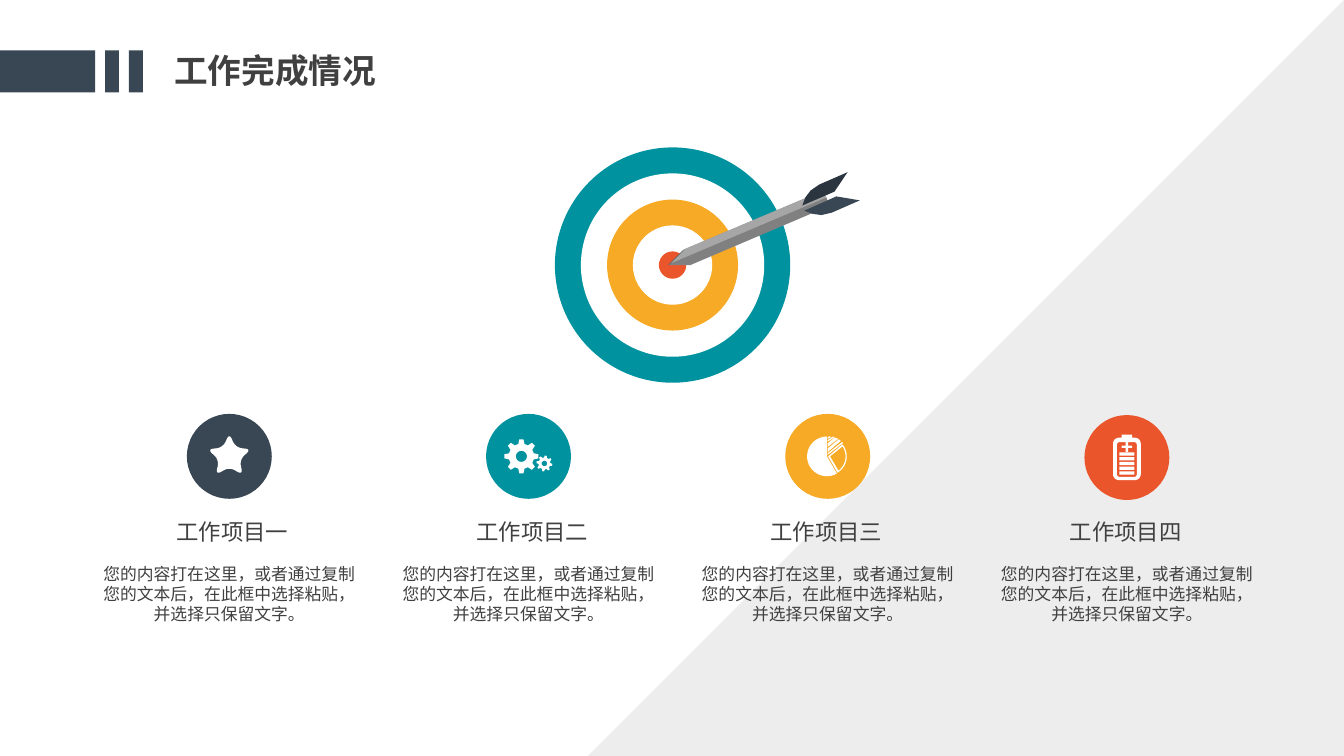
from math import cos, radians, sin

from lxml import etree
from pptx import Presentation
from pptx.dml.color import RGBColor
from pptx.enum.shapes import MSO_SHAPE
from pptx.enum.text import MSO_ANCHOR, MSO_AUTO_SIZE, PP_ALIGN
from pptx.oxml.ns import qn
from pptx.util import Cm, Pt

RECTANGLE, OVAL, TRIANGLE = MSO_SHAPE.RECTANGLE, MSO_SHAPE.OVAL, MSO_SHAPE.RIGHT_TRIANGLE
LEFT, CENTER = PP_ALIGN.LEFT, PP_ALIGN.CENTER
TOP, MIDDLE = MSO_ANCHOR.TOP, MSO_ANCHOR.MIDDLE
NO_FIT = MSO_AUTO_SIZE.NONE

NAVY = RGBColor(0x39, 0x47, 0x54)
TEAL = RGBColor(0x00, 0x93, 0x9F)
AMBER = RGBColor(0xF6, 0xAA, 0x26)
ORANGE = RGBColor(0xEA, 0x55, 0x2B)
WHITE = RGBColor(0xFF, 0xFF, 0xFF)
INK = RGBColor(0x40, 0x40, 0x40)
PALE = RGBColor(0xE7, 0xE6, 0xE6)
SLATE = RGBColor(0x51, 0x5D, 0x5D)
STEEL = RGBColor(0x82, 0x82, 0x86)
SILVER = RGBColor(0xA6, 0xA6, 0xA6)
GRAY = RGBColor(0x80, 0x80, 0x80)
MIDNIGHT = RGBColor(0x2B, 0x35, 0x3F)
CJK_FONT = "Noto Sans CJK SC"

TITLE = "工作完成情况"
BODY = "您的内容打在这里，或者通过复制您的文本后，在此框中选择粘贴，并选择只保留文字。"
ITEMS = [
    ("工作项目一", NAVY, 11.5, 0.08),
    ("工作项目二", TEAL, 11.5, 0.1),
    ("工作项目三", AMBER, 11.5, -0.03),
    ("工作项目四", ORANGE, 11.53, -0.03),
]
FIRST_CENTER, PITCH, BADGE = 5.78, 7.54, 2.14

HEADER_BARS = [(0, 2.4), (2.65, 0.35), (3.25, 0.35)]
TARGET_X, TARGET_Y = 16.95, 6.68
RINGS = [(5.93, TEAL), (4.62, WHITE), (3.3, AMBER), (2, WHITE), (0.69, ORANGE)]
ARROW = [
    (SLATE, [(17.22, 6.3), (20.7, 4.83), (20.78, 5), (16.84, 6.68)]),
    (STEEL, [(17.4, 6.68), (20.85, 5.21), (20.78, 5), (16.84, 6.68)]),
    (SILVER, [(17.27, 6.27), (20.75, 4.8), (20.83, 4.98), (16.89, 6.65)]),
    (GRAY, [(17.42, 6.65), (20.9, 5.18), (20.83, 4.98), (16.89, 6.65)]),
    (MIDNIGHT, [(20.22, 5.18), (20.3, 4.97), (20.43, 4.8), (20.65, 4.65),
                (21.36, 4.34), (21.03, 4.83)]),
    (NAVY, [(20.27, 5.31), (20.48, 5.39), (20.7, 5.42), (20.96, 5.36),
            (21.67, 5.05), (21.08, 4.95)]),
]
PIE_STRIPES = [
    (-0.08, 0.36, -0.36), (-0.15, 0.3, -0.41), (-0.2, 0.28, -0.43),
    (-0.28, 0.23, -0.46), (-0.33, 0.18, -0.48), (-0.41, 0.13, -0.5),
    (-0.48, 0.05, -0.51),
]


def polar(radius, angle, x=0, y=0):
    return x + radius * cos(radians(angle)), y + radius * sin(radians(angle))


def arc(radius, start, end, x=0, y=0, steps=24):
    return [polar(radius, start + (end - start) * i / steps, x, y) for i in range(steps + 1)]


def box_outline(left, top, right, bottom):
    return [(left, top), (right, top), (right, bottom), (left, bottom)]


def rounded_outline(left, top, right, bottom, radius):
    corners = box_outline(left + radius, top + radius, right - radius, bottom - radius)
    return [point for i, (x, y) in enumerate(corners)
            for point in arc(radius, 180 + 90 * i, 270 + 90 * i, x, y, 6)]


def soften(points):
    following = points[1:] + points[:1]
    return [(a[0] + (b[0] - a[0]) * t, a[1] + (b[1] - a[1]) * t)
            for a, b in zip(points, following) for t in (0.25, 0.75)]


def star_icon():
    points = [polar(0.26 if i % 2 else 0.6, 36 * i - 90) for i in range(10)]
    for _ in range(3):
        points = soften(points)
    return [points]


def gear(x, y, tip, base, hole, turn):
    profile = [(tip, -7), (tip, 7), (base, 14), (base, 31)]
    teeth = [polar(radius, 45 * i + angle + turn, x, y)
             for i in range(8) for radius, angle in profile]
    return [teeth, arc(hole, 0, 360, x, y)]


def gears_icon():
    return gear(-0.18, 0, 0.43, 0.32, 0.14, 0) + gear(0.4, 0.18, 0.2, 0.15, 0.07, 10)


def pie_icon():
    slices = [
        [(-0.02, 0)] + arc(0.5, 60, 270, -0.02),
        [(0.01, 0)] + arc(0.48, -39, 59),
        [(0.06, 0)] + arc(0.45, -34, 53),
    ]
    stripes = [[(0, y), (end_x, end_y), (end_x + 0.03, end_y + 0.02), (0, y + 0.04)]
               for y, end_x, end_y in PIE_STRIPES]
    return slices + stripes


def battery_icon():
    bars = [box_outline(-0.19, -0.13 + 0.12 * i, 0.19, -0.05 + 0.12 * i) for i in range(5)]
    plus = [(-0.13, -0.3), (-0.03, -0.3), (-0.03, -0.4 + 0.02), (0.03, -0.38),
            (0.03, -0.3), (0.13, -0.3), (0.13, -0.24), (0.03, -0.24),
            (0.03, -0.14), (-0.03, -0.14), (-0.03, -0.24), (-0.13, -0.24)]
    shell = rounded_outline(-0.35, -0.5, 0.35, 0.57, 0.15)
    cavity = rounded_outline(-0.25, -0.39, 0.25, 0.49, 0.07)
    cap = box_outline(-0.13, -0.58, 0.13, -0.5)
    return [shell, cavity, cap, plus] + bars


ICONS = [star_icon, gears_icon, pie_icon, battery_icon]


def paint(shape, color):
    shape.shadow.inherit = False
    shape.fill.solid()
    shape.fill.fore_color.rgb = color
    shape.line.fill.background()
    return shape


def add_preset(page, kind, left, top, width, height, color):
    return paint(page.shapes.add_shape(kind, Cm(left), Cm(top), Cm(width), Cm(height)), color)


def add_disc(page, x, y, size, color):
    add_preset(page, OVAL, x - size / 2, y - size / 2, size, size, color)


def add_outline(page, contours, color, x=0, y=0):
    placed = [[(Cm(x + px), Cm(y + py)) for px, py in contour] for contour in contours]
    builder = page.shapes.build_freeform(*placed[0][0])
    for i, contour in enumerate(placed):
        if i:
            builder.move_to(*contour[0])
        builder.add_line_segments(contour[1:], close=True)
    paint(builder.convert_to_shape(), color)


def write(box, text, size, font, align, anchor, wrap=True, bold=False, spacing=None):
    frame = box.text_frame
    frame.text = text
    frame.word_wrap = wrap
    frame.auto_size = NO_FIT
    frame.vertical_anchor = anchor
    para = frame.paragraphs[0]
    para.alignment = align
    if spacing:
        para.line_spacing = Pt(spacing)
    span = para.runs[0]
    span.font.name = font
    span.font.size = Pt(size)
    span.font.bold = bold
    span.font.color.rgb = INK
    etree.SubElement(span.font._element, qn("a:ea"), typeface=CJK_FONT)


def add_label(page, center, top, width, height, text, size):
    box = page.shapes.add_textbox(Cm(center - width / 2), Cm(top), Cm(width), Cm(height))
    write(box, text, size, CJK_FONT, CENTER, TOP, spacing=size * 1.2)


def main():
    deck = Presentation()
    deck.slide_width, deck.slide_height = Cm(33.87), Cm(19.05)
    page = deck.slides.add_slide(deck.slide_layouts[5])

    corner = add_preset(page, TRIANGLE, 14.82, 0, 19.05, 19.05, PALE)
    corner._element.spPr.xfrm.set("flipH", "1")
    tint = corner._element.spPr.find(".//" + qn("a:srgbClr"))
    etree.SubElement(tint, qn("a:alpha"), val="70000")

    for left, width in HEADER_BARS:
        add_preset(page, RECTANGLE, left, 1.27, width, 1.06, NAVY)
    title = page.shapes.title
    title.left, title.top, title.width, title.height = Cm(4.14), Cm(1.12), Cm(5.64), Cm(1.27)
    write(title, TITLE, 24, "Arial", LEFT, MIDDLE, wrap=False, bold=True)

    for size, color in RINGS:
        add_disc(page, TARGET_X, TARGET_Y, size, color)
    for color, outline in ARROW:
        add_outline(page, [outline], color)

    for i, ((name, color, middle, shift), icon) in enumerate(zip(ITEMS, ICONS)):
        center = FIRST_CENTER + PITCH * i
        add_disc(page, center, middle, BADGE, color)
        add_outline(page, icon(), WHITE, center, middle)
        add_label(page, center + shift, 12.94, 5.49, 0.94, name, 16)
        add_label(page, center, 14.07, 7.01, 1.8, BODY, 12)

    deck.save("out.pptx")


if __name__ == "__main__":
    main()
